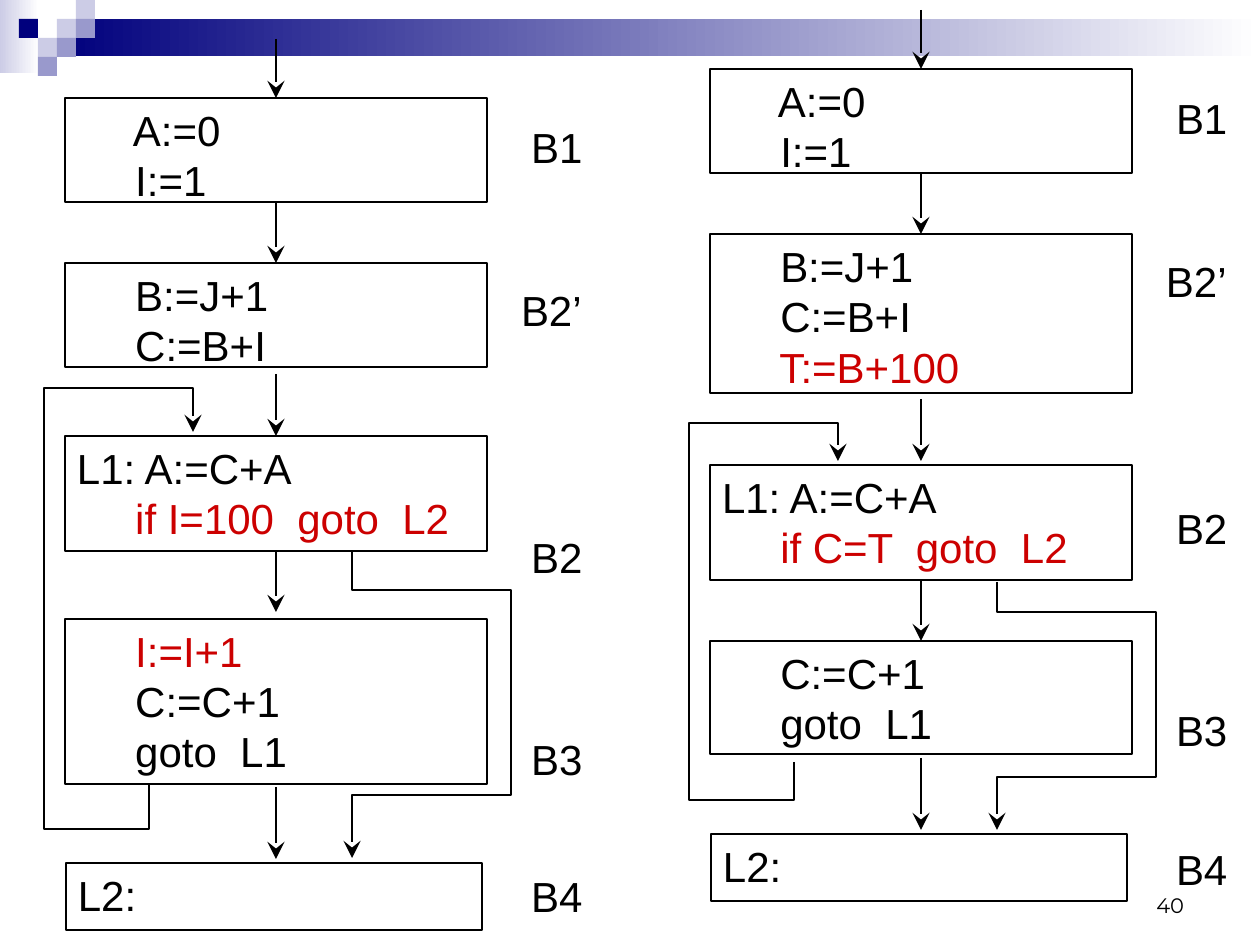
from typing import NamedTuple

import pptx
import pptx.dml.color
import pptx.enum.shapes
import pptx.enum.text
import pptx.util
from pptx.oxml import parse_xml

PX = 914400 / 126  # EMU in one px
BLACK, RED, WHITE = "000000", "CC0000", "FFFFFF"
LEFT, WIDE = 65, 422  # code boxes
MID = LEFT + WIDE // 2
A_NS = 'xmlns:a="http://schemas.openxmlformats.org/drawingml/2006/main"'


class Box(NamedTuple):
    y: int
    h: int
    lines: list[str]
    red: tuple[int, ...] = ()  # indexes of red lines
    x: int = LEFT
    w: int = WIDE


class Flow(NamedTuple):
    x: int  # shift of the whole chart
    boxes: list[Box]
    arrows: list[tuple[int, int]]  # arrow i runs from box i - 1 to box i
    back: tuple[int, int, int, int]  # levels of the loop to L1
    skip: tuple[int, int, int, int]  # levels of the jump to L2
    tags: list[int]  # tops of the block names


NAMES = ["B1", "B2’", "B2", "B3", "B4"]
INIT = ["     A:=0", "     I:=1"]
PRE = ["     B:=J+1", "     C:=B+I"]
STEP = ["     C:=C+1", "     goto  L1"]

FLOWS = [
    Flow(0, [
        Box(98, 104, INIT),
        Box(263, 104, PRE),
        Box(436, 115, ["L1: A:=C+A", "     if I=100  goto  L2"], (1,)),
        Box(619, 165, ["     I:=I+1"] + STEP, (0,)),
        Box(863, 67, ["L2:"], x=66, w=416),
    ], [(39, 98), (202, 263), (374, 436), (551, 612), (787, 859)],
        (785, 829, 388, 432), (551, 590, 795, 858),
        [115, 278, 525, 727, 864]),
    Flow(645, [
        Box(69, 104, INIT),
        Box(234, 159, PRE + ["     T:=B+100"], (2,)),
        Box(465, 115, ["L1: A:=C+A", "     if C=T  goto  L2"], (1,)),
        Box(641, 113, STEP),
        Box(834, 67, ["L2:"], x=66, w=416),
    ], [(10, 69), (173, 234), (399, 461), (580, 641), (758, 830)],
        (762, 800, 423, 461), (582, 612, 777, 830),
        [86, 249, 496, 698, 837]),
]


def emu(px: int) -> int:
    return round(px * PX)


def rgb(code: str):
    return pptx.dml.color.RGBColor.from_string(code)


def rect(slide, x: int, y: int, w: int, h: int):
    kind = pptx.enum.shapes.MSO_SHAPE.RECTANGLE
    shape = slide.shapes.add_shape(kind, emu(x), emu(y), emu(w), emu(h))
    shape.shadow.inherit = False
    return shape


def write(shape, lines: list[str], red=(), inset=12, size=24, font="Arial"):
    frame = shape.text_frame
    frame.word_wrap = True
    frame.vertical_anchor = pptx.enum.text.MSO_ANCHOR.TOP
    frame.margin_left, frame.margin_right = emu(inset), 0
    frame.text = "\n".join(lines)
    for i, para in enumerate(frame.paragraphs):
        para.alignment = pptx.enum.text.PP_ALIGN.LEFT
        para.font.size = pptx.util.Pt(size)
        para.font.name = font
        para.font.color.rgb = rgb(RED if i in red else BLACK)
    return frame


def stroke(shape, head: bool = False) -> None:
    shape.line.color.rgb = rgb(BLACK)
    shape.line.width = pptx.util.Pt(1.5)
    if head:
        tip = f'<a:tailEnd {A_NS} type="stealth" w="lg" len="lg"/>'
        shape.line._get_or_add_ln().append(parse_xml(tip))


def draw_box(slide, box: Box, dx: int):
    shape = rect(slide, box.x + dx, box.y, box.w, box.h)
    shape.fill.background()
    stroke(shape)
    write(shape, box.lines, box.red)
    return shape


def draw_bend(slide, points: list[tuple[int, int]]) -> None:
    pen = slide.shapes.build_freeform(*points[0], scale=PX)
    pen.add_line_segments(points[1:], close=False)
    shape = pen.convert_to_shape()
    shape.shadow.inherit = False
    shape.fill.background()
    stroke(shape, head=True)


def draw_flow(slide, flow: Flow) -> None:
    shapes = [draw_box(slide, box, flow.x) for box in flow.boxes]

    # Straight arrows, joined wherever they touch a box
    x = emu(MID + flow.x)
    for i, (top, end) in enumerate(flow.arrows):
        kind = pptx.enum.shapes.MSO_CONNECTOR.STRAIGHT
        line = slide.shapes.add_connector(kind, x, emu(top), x, emu(end))
        prev = flow.boxes[i - 1]
        if i and abs(prev.y + prev.h - top) < 2:
            line.begin_connect(shapes[i - 1], 2)
        if flow.boxes[i].y == end:
            line.end_connect(shapes[i], 0)
        stroke(line, head=True)
        line._element.spPr.append(parse_xml(f"<a:effectLst {A_NS}/>"))

    # Bent arrows: back to L1, then out to L2
    for (a, b, c, d), (start, side, stop) in [
            (flow.back, (149, 44, 193)), (flow.skip, (352, 511, 352))]:
        path = [(start, a), (start, b), (side, b),
                (side, c), (stop, c), (stop, d)]
        draw_bend(slide, [(px + flow.x, py) for px, py in path])

    # Block names
    for name, y in zip(NAMES, flow.tags):
        tag = slide.shapes.add_textbox(
            emu(508 + flow.x), emu(y), emu(93), emu(63))
        write(tag, [name], inset=13 if name == "B2’" else 23)


def draw_band(slide) -> None:
    # Fading bars
    for x, y, w, h, tint in [(0, 0, 39, 73, "CCCCE6"),
                             (57, 19, 1203, 37, "00007D")]:
        bar = rect(slide, x, y, w, h)
        bar.line.fill.background()
        bar.fill.gradient()
        bar.fill.gradient_angle = 0
        for stop, code in zip(bar.fill.gradient_stops, (tint, WHITE)):
            stop.color.rgb = rgb(code)

    # Mosaic squares on a 19 px grid
    for col, row, tint in [(3, 1, "CCCCE6"), (4, 0, "CCCCE6"),
                           (4, 1, "9999CC"), (2, 2, "CCCCE6"),
                           (1, 1, "00007D"), (3, 2, "9999CC"),
                           (2, 3, "9999CC")]:
        tile = rect(slide, col * 19, row * 19, 19, 19)
        tile.line.fill.background()
        tile.fill.solid()
        tile.fill.fore_color.rgb = rgb(tint)


def main() -> None:
    deck = pptx.Presentation()
    deck.slide_width, deck.slide_height = emu(1260), emu(945)
    slide = deck.slides.add_slide(deck.slide_layouts[6])
    draw_band(slide)
    for flow in FLOWS:
        draw_flow(slide, flow)

    # Page number
    page = slide.shapes.add_textbox(emu(903), emu(861), emu(294), emu(63))
    frame = write(page, ["40"], size=12, font="Montserrat")
    frame.margin_right = emu(13)
    frame.vertical_anchor = pptx.enum.text.MSO_ANCHOR.BOTTOM
    frame.paragraphs[0].alignment = pptx.enum.text.PP_ALIGN.RIGHT
    deck.save("out.pptx")


if __name__ == "__main__":
    main()
